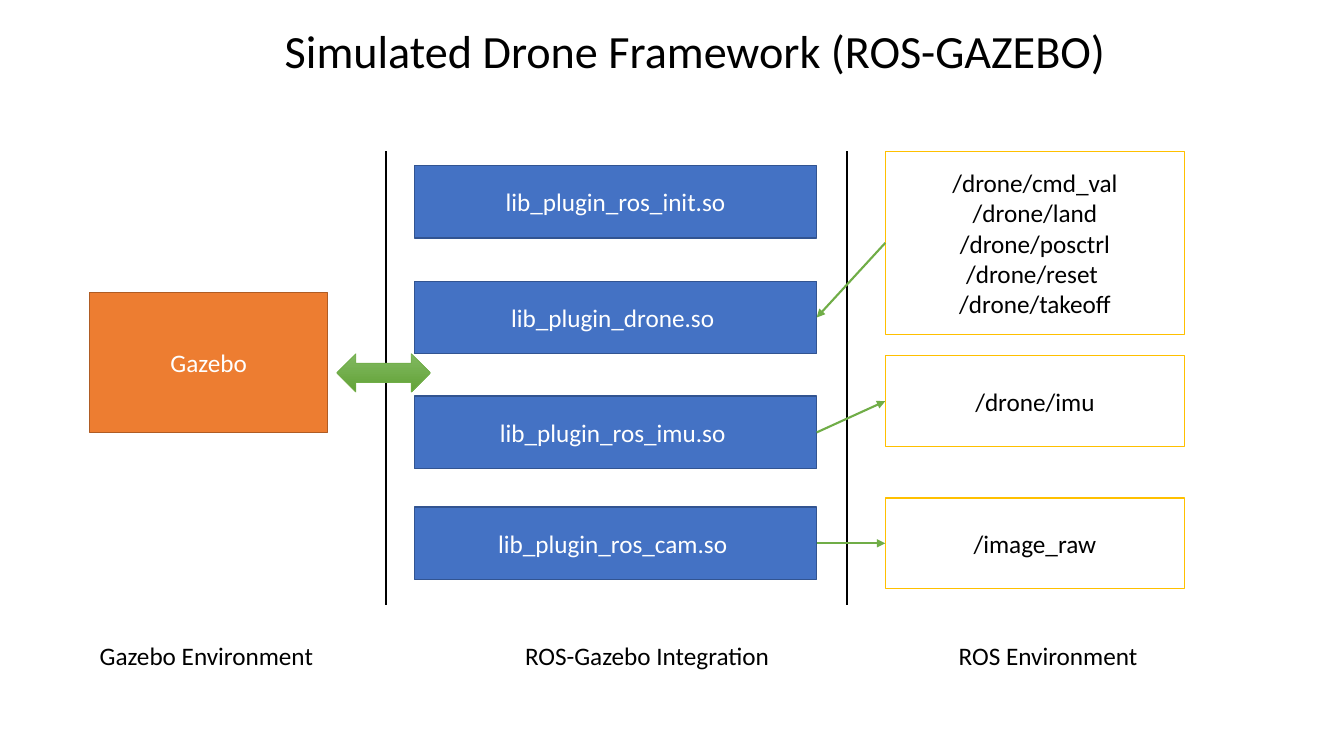
from dataclasses import dataclass

from pptx import Presentation
from pptx.dml.color import RGBColor
from pptx.enum import shapes, text
from pptx.oxml import ns, xmlchemy
from pptx.util import Inches, Pt


@dataclass(frozen=True)
class Theme:
    font: str = "Calibri"
    title_size: float = 33
    body_size: float = 18
    black: str = "000000"
    white: str = "FFFFFF"
    plugin: str = "4472C4"
    plugin_edge: str = "325491"
    gazebo: str = "ED7D31"
    gazebo_edge: str = "AF5C24"
    topic_edge: str = "FFC000"
    green: str = "70AD47"
    green_top: str = "81B861"
    green_bottom: str = "62A336"


class Diagram:
    """Draws styled elements on one slide."""

    def __init__(self, s, theme):
        self.s, self.theme = s, theme

    def _write(self, tf, content, size, color, align, anchor):
        tf.text = content
        tf.vertical_anchor = anchor
        for p in tf.paragraphs:
            p.alignment = align
            for r in p.runs:
                r.font.name = self.theme.font
                r.font.size = Pt(size)
                r.font.color.rgb = RGBColor.from_string(color)

    def _outline(self, sp, color, width):
        sp.line.color.rgb = RGBColor.from_string(color)
        sp.line.width = Pt(width)

    def title(self, content, x, y, w, h):
        sp = self.s.shapes.add_textbox(Inches(x), Inches(y), Inches(w), Inches(h))
        tf = sp.text_frame
        tf.word_wrap = True
        self._write(tf, content, self.theme.title_size, self.theme.black,
                    text.PP_ALIGN.CENTER, text.MSO_ANCHOR.BOTTOM)
        tf.paragraphs[0].line_spacing = 0.7

    def label(self, content, x, y, w, h):
        sp = self.s.shapes.add_textbox(Inches(x), Inches(y), Inches(w), Inches(h))
        tf = sp.text_frame
        tf.word_wrap = False
        tf.auto_size = text.MSO_AUTO_SIZE.SHAPE_TO_FIT_TEXT
        self._write(tf, content, self.theme.body_size, self.theme.black,
                    text.PP_ALIGN.LEFT, text.MSO_ANCHOR.TOP)

    def box(self, content, x, y, w, h, fill, edge, color):
        sp = self.s.shapes.add_shape(shapes.MSO_SHAPE.RECTANGLE,
                                     Inches(x), Inches(y), Inches(w), Inches(h))
        sp.shadow.inherit = False
        sp.fill.solid()
        sp.fill.fore_color.rgb = RGBColor.from_string(fill)
        self._outline(sp, edge, 1)
        self._write(sp.text_frame, content, self.theme.body_size, color,
                    text.PP_ALIGN.CENTER, text.MSO_ANCHOR.MIDDLE)
        return sp

    def double_arrow(self, x, y, w, h):
        sp = self.s.shapes.add_shape(shapes.MSO_SHAPE.LEFT_RIGHT_ARROW,
                                     Inches(x), Inches(y), Inches(w), Inches(h))
        sp.shadow.inherit = False
        sp.fill.gradient()
        sp.fill.gradient_angle = 270
        colors = (self.theme.green_top, self.theme.green_bottom)
        for stop, color in zip(sp.fill.gradient_stops, colors):
            stop.color.rgb = RGBColor.from_string(color)
        self._outline(sp, self.theme.green, 0.5)

    def line(self, x1, y1, x2, y2, color):
        cx = self.s.shapes.add_connector(shapes.MSO_CONNECTOR.STRAIGHT,
                                         Inches(x1), Inches(y1), Inches(x2), Inches(y2))
        self._outline(cx, color, 1.5)
        xmlchemy.OxmlElement("a:effectLst")
        cx._element.spPr.append(xmlchemy.OxmlElement("a:effectLst"))
        return cx

    def arrow(self, start, start_site, end, end_site):
        cx = self.line(0, 0, 1, 1, self.theme.green)
        cx.begin_connect(start, start_site)
        cx.end_connect(end, end_site)
        tail = xmlchemy.OxmlElement("a:tailEnd")
        tail.set("type", "triangle")
        cx._element.spPr.find(ns.qn("a:ln")).append(tail)


def main():
    prs = Presentation()
    prs.slide_width, prs.slide_height = Inches(13.33), Inches(7.5)
    theme = Theme()
    d = Diagram(prs.slides.add_slide(prs.slide_layouts[6]), theme)

    # Column dividers and title
    for x in (3.83, 8.4):
        d.line(x, 1.5, x, 6, theme.black)
    d.title("Simulated Drone Framework (ROS-GAZEBO)", 2.39, 0.22, 9.01, 0.59)

    # ROS topics
    commands = ("/drone/cmd_val\n/drone/land\v/drone/posctrl\v"
                "/drone/reset \v/drone/takeoff")
    topics = [d.box(content, 8.78, y, 2.97, h, theme.white, theme.topic_edge, theme.black)
              for content, y, h in ((commands, 1.5, 1.82),
                                    ("/drone/imu", 3.53, 0.9),
                                    ("/image_raw", 4.94, 0.9))]

    # Plugins
    plugins = [d.box(content, 4.11, y, 3.99, 0.72,
                     theme.plugin, theme.plugin_edge, theme.white)
               for content, y in (("lib_plugin_ros_init.so", 1.64),
                                  ("lib_plugin_drone.so ", 2.79),
                                  ("lib_plugin_ros_imu.so ", 3.93),
                                  ("lib_plugin_ros_cam.so ", 5.03))]

    # Simulator and its link to the plugins
    d.box("Gazebo", 0.89, 2.9, 2.36, 1.39, theme.gazebo, theme.gazebo_edge, theme.white)
    d.double_arrow(3.34, 3.51, 0.93, 0.38)

    # Message flow between plugins and topics
    left, right = 1, 3
    d.arrow(topics[0], left, plugins[1], right)
    d.arrow(plugins[2], right, topics[1], left)
    d.arrow(plugins[3], right, topics[2], left)

    # Column captions
    for content, x, w in (("ROS Environment", 9.41, 1.99),
                          ("ROS-Gazebo Integration", 5.11, 2.63),
                          ("Gazebo Environment", 0.89, 2.34)):
        d.label(content, x, 6.3, w, 0.4)

    prs.save("out.pptx")


if __name__ == "__main__":
    main()
